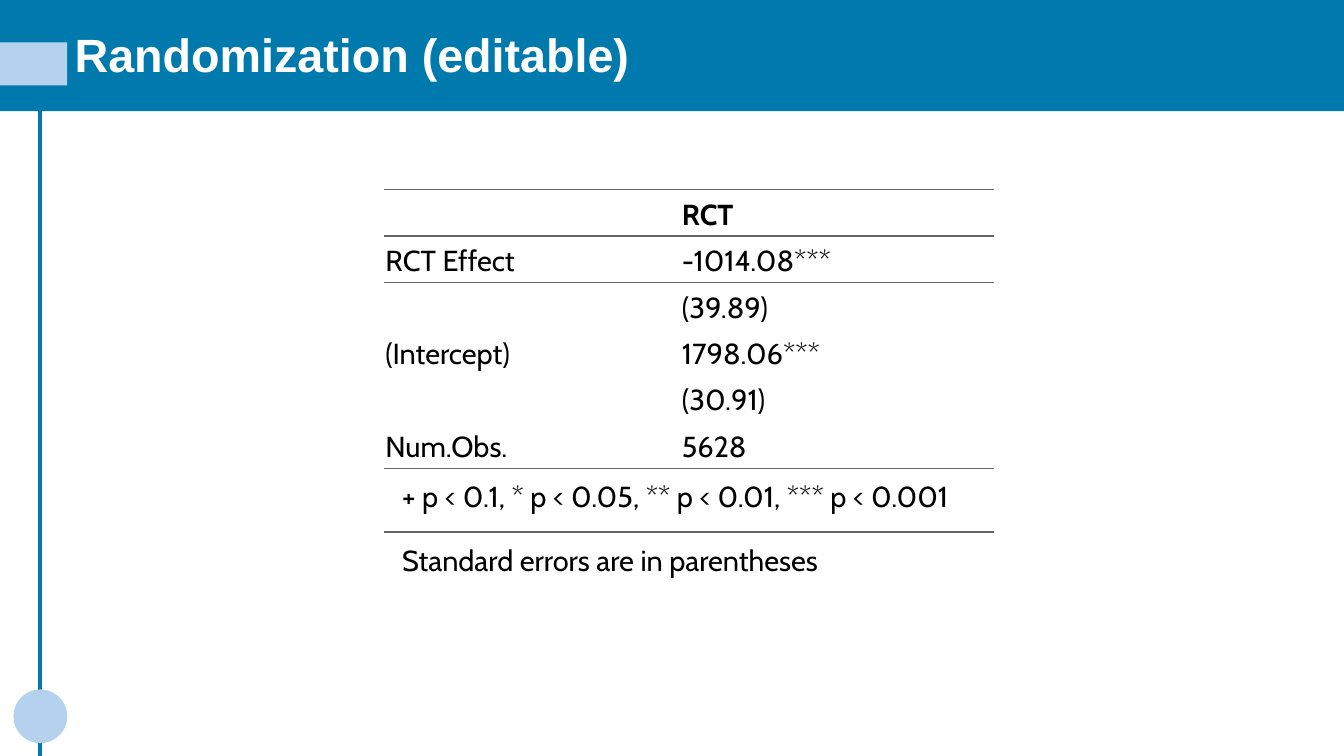
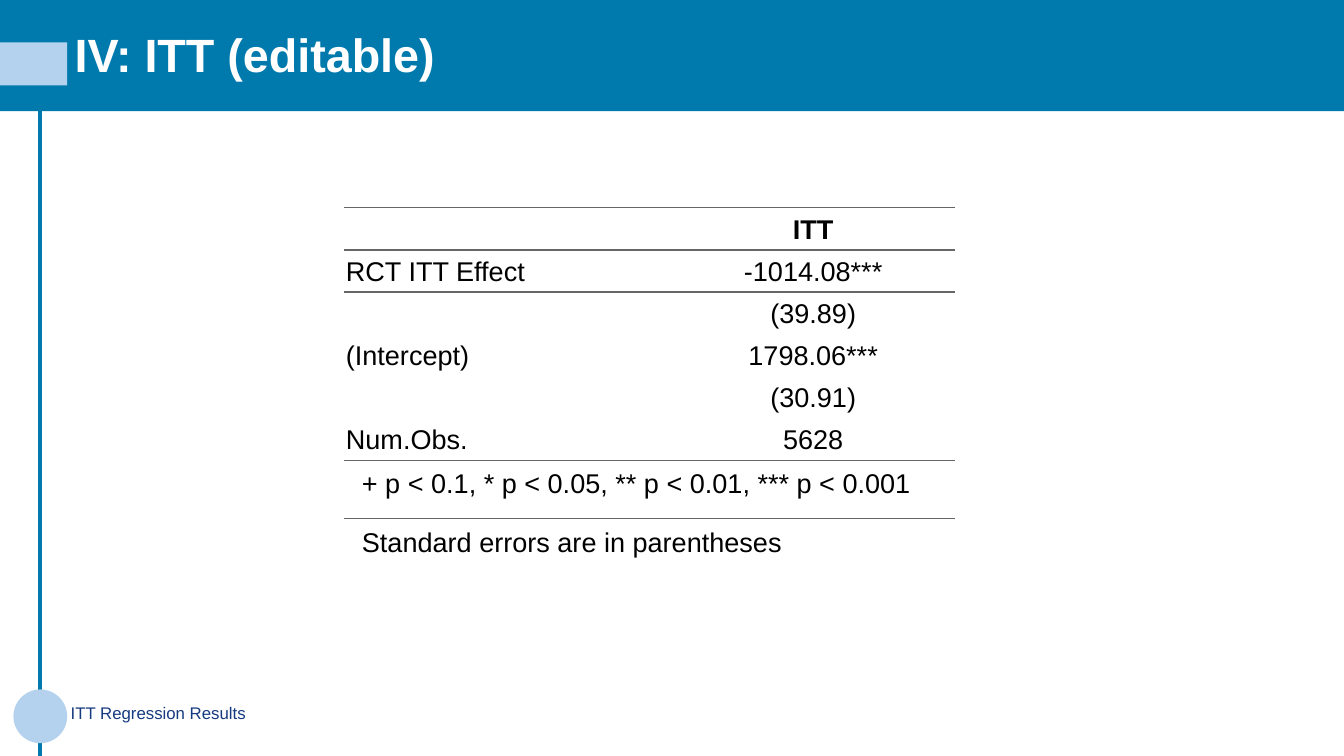
from dataclasses import dataclass
from typing import Any

import lxml.etree
import pptx
import pptx.dml.color
import pptx.enum.shapes
import pptx.enum.text
import pptx.oxml.ns
import pptx.util

Pt = pptx.util.Pt
qn = pptx.oxml.ns.qn
Form = pptx.enum.shapes.MSO_SHAPE
Align = pptx.enum.text.PP_ALIGN
Anchor = pptx.enum.text.MSO_ANCHOR

INK = {"band": "007AAD", "pale": "B4D2EE", "white": "FFFFFF",
       "text": "000000", "note": "153A80", "rule": "666666"}
PLAIN = "{2D5ABB26-0587-4C30-8999-92F81FD0307C}"

# Table rows that carry a rule above or below
TOPS = (0, 1, 6)
ENDS = (0, 5)


@dataclass
class Block:
    form: Any
    box: tuple[float, float, float, float]
    ink: str


@dataclass
class Style:
    face: str
    size: float
    ink: str = "text"
    bold: bool = False
    space: float = 1.0
    after: float = 5
    align: Any = Align.LEFT


@dataclass
class Grid:
    spot: tuple[float, float]
    cols: tuple[float, float]
    row: float
    foot: float
    inset: tuple[float, float]
    face: str
    size: float
    space: float
    align: Any


@dataclass
class Page:
    title: str
    head: str
    label: str
    grid: Grid
    note: str = ""


BLOCKS = (
    Block(Form.RECTANGLE, (0, 0, 1440, 119), "band"),
    Block(Form.RECTANGLE, (0, 45.5, 72, 46), "pale"),
    Block(Form.OVAL, (14.4, 738.7, 57.6, 57.6), "pale"),
)
TITLE = Style("Arial", 50, "white", True, 0.9, 6)
NOTE = Style("Arial", 18, "note", after=6)

PAGES = (
    Page("Randomization (editable)", "RCT", "RCT Effect",
         Grid((411, 203), (317.5, 337), 49.8, 68.4, (20, 10),
              "Cabin", 31, 1.07, Align.LEFT)),
    Page("IV: ITT (editable)", "ITT", "RCT ITT Effect",
         Grid((368.6, 222.7), (350.5, 304.5), 45.1, 62.6, (19.2, 9.6),
              "Arial", 29, 1.0, Align.CENTER),
         "ITT Regression Results"),
)


def color(name: str) -> pptx.dml.color.RGBColor:
    return pptx.dml.color.RGBColor.from_string(INK[name])


def apply(item: Any, form: dict[str, Any]) -> None:
    for key, value in form.items():
        setattr(item, key, value)


def place(item: Any, box: tuple[float, float, float, float]) -> None:
    apply(item, dict(zip(("left", "top", "width", "height"), map(Pt, box))))


def inset(item: Any, sides: tuple[float, float, float, float]) -> None:
    names = ("margin_left", "margin_top", "margin_right", "margin_bottom")
    apply(item, dict(zip(names, map(Pt, sides))))


def write(frame: Any, text: str, style: Style) -> None:
    frame.text = text
    para = frame.paragraphs[0]
    apply(para, {"alignment": style.align, "line_spacing": style.space,
                 "space_before": Pt(0), "space_after": Pt(style.after)})
    apply(para.font, {"name": style.face, "size": Pt(style.size),
                      "bold": style.bold})
    para.font.color.rgb = color(style.ink)


# Shared decoration, moved from the first slide into the layout
def dress(slide: Any, layout: Any) -> None:
    line = slide.shapes.add_connector(
        pptx.enum.shapes.MSO_CONNECTOR.STRAIGHT,
        Pt(43.2), Pt(69), Pt(43.2), Pt(810))
    line.line.color.rgb = color("band")
    line.line.width = Pt(4.5)
    lxml.etree.SubElement(line.element.spPr, qn("a:effectLst"))
    parts = [line]
    for block in BLOCKS:
        shape = slide.shapes.add_shape(block.form, *map(Pt, block.box))
        shape.shadow.inherit = False
        shape.fill.solid()
        shape.fill.fore_color.rgb = color(block.ink)
        shape.line.fill.background()
        parts.append(shape)
    for num, part in enumerate(parts, 50):
        part.element.xpath(".//p:cNvPr")[0].set("id", str(num))
        layout.shapes.element.append(part.element)


def rule(cell: Any, row: int) -> None:
    props = cell._tc.get_or_add_tcPr()
    sides = [tag for tag, rows in (("a:lnT", TOPS), ("a:lnB", ENDS))
             if row in rows]
    for spot, tag in enumerate(sides):
        line = lxml.etree.Element(qn(tag), w=str(Pt(1.5)))
        fill = lxml.etree.SubElement(line, qn("a:solidFill"))
        lxml.etree.SubElement(fill, qn("a:srgbClr"), val=INK["rule"])
        props.insert(spot, line)


def tabulate(slide: Any, page: Page) -> None:
    grid = page.grid
    rows = (
        ("", page.head),
        (page.label, "-1014.08***"),
        ("", "(39.89)"),
        ("(Intercept)", "1798.06***"),
        ("", "(30.91)"),
        ("Num.Obs.", "5628"),
        ("+ p < 0.1, * p < 0.05, ** p < 0.01, *** p < 0.001", ""),
        ("Standard errors are in parentheses", ""),
    )
    tall = [grid.row] * 6 + [grid.foot] * 2
    size = (sum(grid.cols), sum(tall))
    frame = slide.shapes.add_table(len(rows), 2, *map(Pt, grid.spot + size))
    table = frame.table
    apply(table, {"first_row": False, "horz_banding": False})
    frame.element.xpath(".//a:tableStyleId")[0].text = PLAIN
    for col, width in zip(table.columns, grid.cols):
        col.width = Pt(width)
    for r, (texts, height) in enumerate(zip(rows, tall)):
        table.rows[r].height = Pt(height)
        foot = r > 5
        if foot:
            table.cell(r, 0).merge(table.cell(r, 1))
        for c, text in enumerate(texts):
            cell = table.cell(r, c)
            cell.fill.background()
            cell.vertical_anchor = Anchor.TOP if foot else Anchor.MIDDLE
            inset(cell, grid.inset * 2 if foot else (2, 2, 2, 0))
            rule(cell, r)
            if text:
                write(cell.text_frame, text, Style(
                    grid.face, grid.size, bold=r == 0, space=grid.space,
                    align=grid.align if c else Align.LEFT))


def build(slide: Any, page: Page) -> None:
    # Title
    title = slide.shapes.title
    place(title, (72.7, 30.2, 1330.6, 62))
    apply(title.text_frame, {"vertical_anchor": Anchor.MIDDLE,
                             "word_wrap": True,
                             "auto_size": pptx.enum.text.MSO_AUTO_SIZE.NONE})
    inset(title.text_frame, (7.2, 0, 7.2, 0))
    write(title.text_frame, page.title, TITLE)
    # Caption
    if page.note:
        box = slide.shapes.add_textbox(*map(Pt, (72.7, 749.5, 1330.6, 48)))
        box.text_frame.word_wrap = True
        inset(box.text_frame, (3, 3.6, 3, 3.6))
        write(box.text_frame, page.note, NOTE)
    # Results
    tabulate(slide, page)


def main() -> None:
    deck = pptx.Presentation()
    apply(deck, {"slide_width": Pt(1440), "slide_height": Pt(810)})
    layout = deck.slide_layouts[5]
    for num, page in enumerate(PAGES):
        slide = deck.slides.add_slide(layout)
        if num == 0:
            dress(slide, layout)
        build(slide, page)
    deck.save("out.pptx")


if __name__ == "__main__":
    main()
